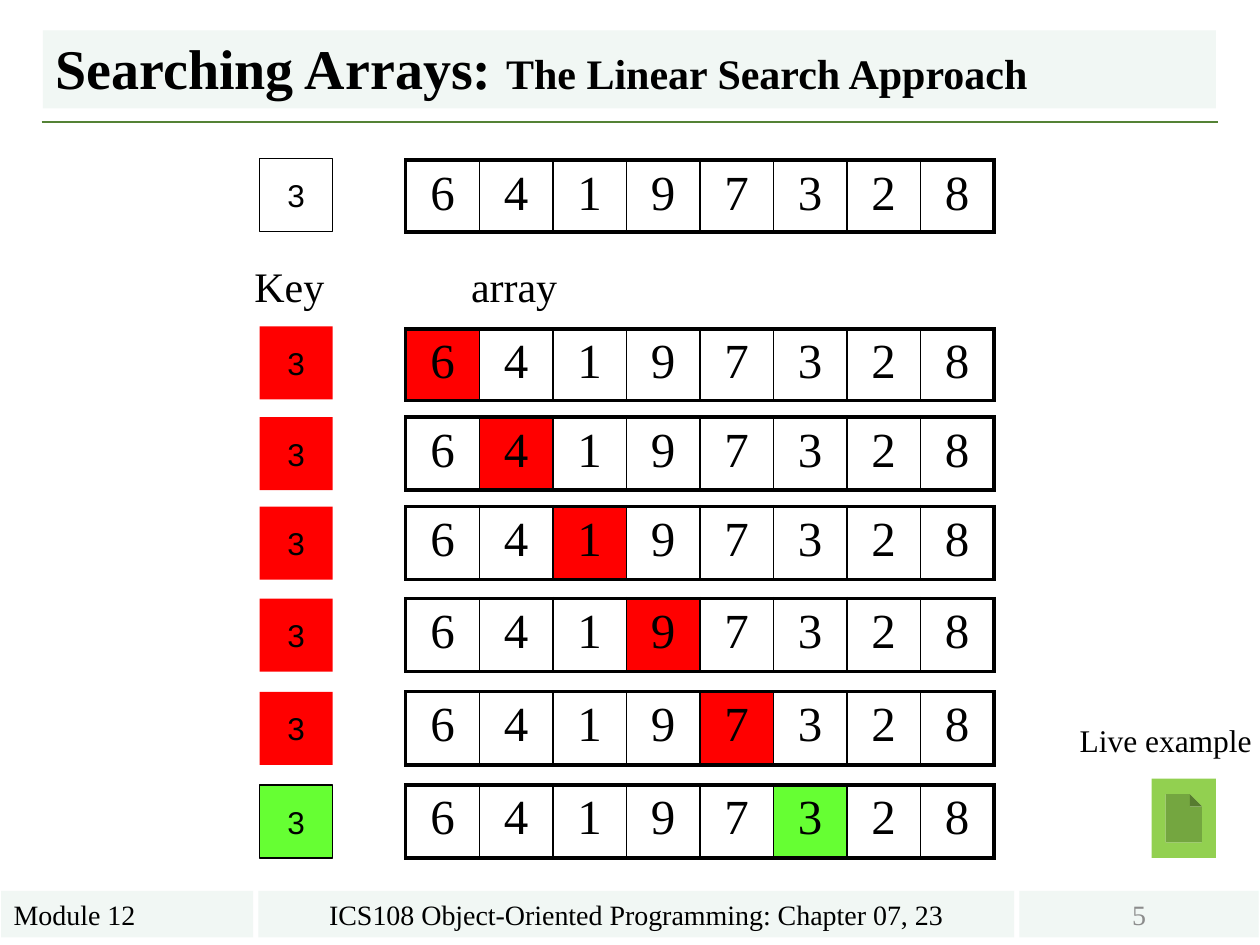
import dataclasses

import lxml.etree
import pptx
import pptx.dml.color
import pptx.enum.shapes
import pptx.enum.text
import pptx.oxml.ns
import pptx.util

Pt = pptx.util.Pt
SHAPES = pptx.enum.shapes.MSO_SHAPE
ALIGN = pptx.enum.text.PP_ALIGN
ANCHOR = pptx.enum.text.MSO_ANCHOR
qn = pptx.oxml.ns.qn


@dataclasses.dataclass(frozen=True)
class Theme:
    serif: str = "Times New Roman"
    sans: str = "Arial"
    ink: str = "000000"
    muted: str = "8C8C8C"
    panel: str = "F1F7F4"
    rule: str = "548235"
    miss: str = "FF0000"
    hit: str = "66FF33"
    button: str = "92D050"
    title: float = 32
    digit: float = 28
    label: float = 24
    body: float = 18
    footer: float = 16
    thick: float = 2.25
    thin: float = 1
    outline: float = 0.75


THEME = Theme()

TITLE = [("Searching Arrays: ", THEME.title), ("The Linear Search Approach", THEME.label)]
ARRAY = [6, 4, 1, 9, 7, 3, 2, 8]
KEY = 3
ROWS = [
    {"key_top": 90.72, "top": 91.44, "height": 41.04, "checked": None},
    {"key_top": 186.48, "top": 187.92, "height": 41.04, "checked": 0},
    {"key_top": 238.32, "top": 238.32, "height": 41.76, "checked": 1},
    {"key_top": 289.44, "top": 289.44, "height": 41.76, "checked": 2},
    {"key_top": 342, "top": 342, "height": 41.76, "checked": 3},
    {"key_top": 395.28, "top": 395.28, "height": 41.76, "checked": 4},
    {"key_top": 448.56, "top": 448.56, "height": 41.76, "checked": 5},
]
FOOTERS = [
    ("Module 12", 0.72, 144, ALIGN.LEFT, THEME.ink),
    ("ICS108 Object-Oriented Programming: Chapter 07, 23", 147.6, 432, ALIGN.CENTER, THEME.ink),
    ("5", 582.48, 136.8, ALIGN.CENTER, THEME.muted),
]
LABELS = [
    ("Key", 138.24, 145.44, 87.84, 36, THEME.label, True),
    ("array", 262.08, 145.44, 175.68, 36, THEME.label, True),
    ("Live example", 609.84, 408.24, 113.76, 28.8, THEME.body, False),
]
KEY_LEFT, KEY_SIDE = 148.32, 41.76
ARRAY_LEFT, ARRAY_WIDTH = 231.84, 336.24
FOOTER_TOP, FOOTER_HEIGHT = 509.04, 26.64


def rgb(color):
    return pptx.dml.color.RGBColor.from_string(color)


def format_span(span, size, font=THEME.serif, color=THEME.ink, bold=False):
    span.font.name = font
    span.font.size = Pt(size)
    span.font.bold = bold
    span.font.color.rgb = rgb(color)


def write(frame, text, size, align=ALIGN.LEFT, font=THEME.serif, color=THEME.ink):
    frame.text = text
    para = frame.paragraphs[0]
    para.alignment = align
    format_span(para.runs[0], size, font, color)


def set_fill(fill, color):
    if color:
        fill.solid()
        fill.fore_color.rgb = rgb(color)
    else:
        fill.background()


def add_box(page, kind, left, top, width, height, fill=None, line=None):
    box = page.shapes.add_shape(kind, Pt(left), Pt(top), Pt(width), Pt(height))
    box.shadow.inherit = False
    set_fill(box.fill, fill)
    set_fill(box.line.fill, line)
    if line:
        box.line.width = Pt(THEME.outline)
    return box


def add_border(cell, side, width):
    properties = cell._tc.get_or_add_tcPr()
    line = lxml.etree.SubElement(properties, qn("a:" + side), w=str(Pt(width)))
    solid = lxml.etree.SubElement(line, qn("a:solidFill"))
    lxml.etree.SubElement(solid, qn("a:srgbClr"), val=THEME.ink)


def add_title(page):
    title = page.shapes.title
    title.left, title.top, title.width, title.height = Pt(24.48), Pt(17.28), Pt(670.32), Pt(44.64)
    set_fill(title.fill, THEME.panel)
    frame = title.text_frame
    frame.auto_size = pptx.enum.text.MSO_AUTO_SIZE.NONE
    frame.vertical_anchor = ANCHOR.BOTTOM
    para = frame.paragraphs[0]
    para.alignment = ALIGN.LEFT
    para.line_spacing = 0.9
    for text, size in TITLE:
        span = para.add_run()
        span.text = text
        format_span(span, size, bold=True)

    rule = page.shapes.add_connector(
        pptx.enum.shapes.MSO_CONNECTOR.STRAIGHT, Pt(23.76), Pt(69.84), Pt(696.24), Pt(69.84))
    rule.line.color.rgb = rgb(THEME.rule)
    rule.line.width = Pt(1.5)
    lxml.etree.SubElement(rule._element.spPr, qn("a:effectLst"))


def add_array(page, top, height, checked, color):
    table = page.shapes.add_table(
        1, len(ARRAY), Pt(ARRAY_LEFT), Pt(top), Pt(ARRAY_WIDTH), Pt(height)).table
    table.first_row = False
    table.horz_banding = False
    last = len(ARRAY) - 1
    for index, value in enumerate(ARRAY):
        table.columns[index].width = Pt(ARRAY_WIDTH / len(ARRAY))
        cell = table.cell(0, index)
        write(cell.text_frame, str(value), THEME.digit, ALIGN.CENTER)
        add_border(cell, "lnL", THEME.thick if index == 0 else THEME.thin)
        add_border(cell, "lnR", THEME.thick if index == last else THEME.thin)
        add_border(cell, "lnT", THEME.thick)
        add_border(cell, "lnB", THEME.thick)
        set_fill(cell.fill, color if index == checked else None)


def add_search_row(page, key_top, top, height, checked):
    if checked is None:
        color = None
    else:
        color = THEME.hit if ARRAY[checked] == KEY else THEME.miss
    line = None if color == THEME.miss else THEME.ink
    box = add_box(page, SHAPES.RECTANGLE, KEY_LEFT, key_top, KEY_SIDE, KEY_SIDE, color, line)
    box.text_frame.word_wrap = False
    box.text_frame.vertical_anchor = ANCHOR.MIDDLE
    write(box.text_frame, str(KEY), THEME.body, ALIGN.CENTER, THEME.sans)
    add_array(page, top, height, checked, color)


def main():
    deck = pptx.Presentation()
    deck.slide_width, deck.slide_height = Pt(720), Pt(540)
    page = deck.slides.add_slide(deck.slide_layouts[5])
    add_title(page)
    for text, left, width, align, color in FOOTERS:
        box = add_box(page, SHAPES.RECTANGLE, left, FOOTER_TOP, width, FOOTER_HEIGHT, THEME.panel)
        box.text_frame.vertical_anchor = ANCHOR.MIDDLE
        write(box.text_frame, text, THEME.footer, align, color=color)
    for row in ROWS:
        add_search_row(page, **row)
    for text, left, top, width, height, size, wrap in LABELS:
        box = page.shapes.add_textbox(Pt(left), Pt(top), Pt(width), Pt(height))
        box.text_frame.word_wrap = wrap
        write(box.text_frame, text, size)
    add_box(page, SHAPES.ACTION_BUTTON_DOCUMENT, 658.08, 444.96, 36.72, 45.36, THEME.button)
    deck.save("out.pptx")


if __name__ == "__main__":
    main()
